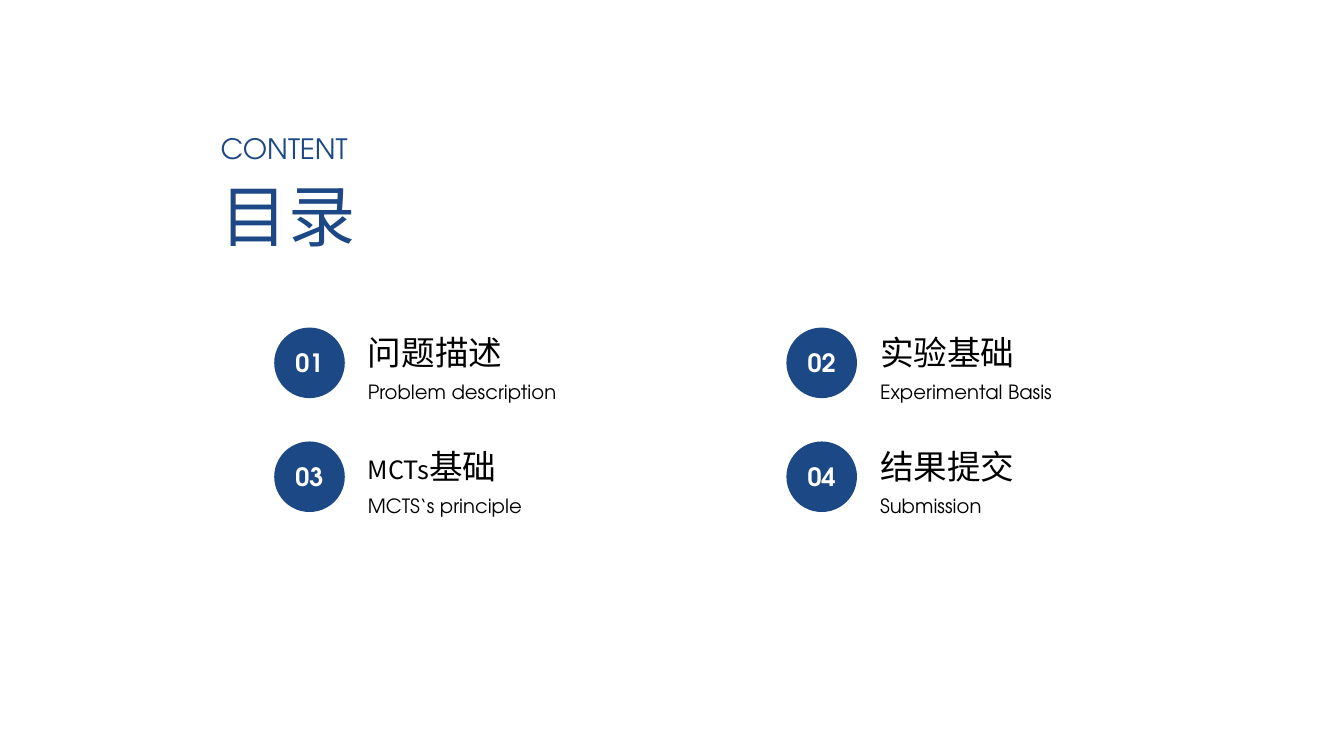
from dataclasses import dataclass

from lxml.etree import SubElement
from pptx import Presentation
from pptx.dml.color import RGBColor as Rgb
from pptx.enum.shapes import MSO_SHAPE as Kind
from pptx.enum.text import MSO_ANCHOR as Anchor, MSO_AUTO_SIZE as Fit, PP_ALIGN as Align
from pptx.oxml.ns import qn
from pptx.slide import Slide
from pptx.text.text import TextFrame
from pptx.util import Inches, Pt

COLORS = {"navy": "1C4885", "black": "000000", "white": "FFFFFF"}
HEAD = "Calibri"
BODY = "TeX Gyre Adventor"
HAN = "Noto Sans CJK SC"


@dataclass(frozen=True)
class Run:
    text: str
    size: int
    font: str = HEAD
    color: str = "black"
    bold: bool = False


@dataclass(frozen=True)
class Topic:
    name: tuple[Run, ...]
    note: str
    width: float


TOPICS = (
    Topic((Run("问题描述", 24),), "Problem description", 2.93),
    Topic((Run("实验基础", 24),), "Experimental Basis", 2.93),
    Topic((Run("MCTs", 18, HAN), Run("基础", 24)), "MCTS‘s principle", 3.69),
    Topic((Run("结果提交", 24),), "Submission", 3.69),
)


def write(frame: TextFrame, runs: tuple[Run, ...], align: Align) -> None:
    para = frame.paragraphs[0]
    para.alignment = align
    for item in runs:
        run = para.add_run()
        run.text = item.text
        font = run.font
        font.name = item.font
        font.size = Pt(item.size)
        font.bold = item.bold
        font.color.rgb = Rgb.from_string(COLORS[item.color])
        SubElement(font._element, qn("a:ea")).set("typeface", HAN)


def label(slide: Slide, left: float, top: float, width: float, height: float,
          runs: tuple[Run, ...], align: Align = Align.JUSTIFY) -> None:
    box = slide.shapes.add_textbox(
        Inches(left), Inches(top), Inches(width), Inches(height))
    frame = box.text_frame
    frame.word_wrap = True
    frame.auto_size = Fit.SHAPE_TO_FIT_TEXT
    write(frame, runs, align)


def badge(slide: Slide, left: float, top: float, text: str) -> None:
    disc = slide.shapes.add_shape(
        Kind.OVAL, Inches(left), Inches(top), Inches(0.7), Inches(0.7))
    disc.shadow.inherit = False
    disc.fill.solid()
    disc.fill.fore_color.rgb = Rgb.from_string(COLORS["navy"])
    disc.line.fill.background()
    frame = disc.text_frame
    frame.vertical_anchor = Anchor.MIDDLE
    write(frame, (Run(text, 18, BODY, "white", True),), Align.CENTER)


def head(slide: Slide) -> None:
    title = slide.shapes.title
    title.left, title.top = Inches(2.09), Inches(1.68)
    title.width, title.height = Inches(2.54), Inches(0.91)
    frame = title.text_frame
    frame.word_wrap = True
    frame.auto_size = Fit.SHAPE_TO_FIT_TEXT
    frame.vertical_anchor = Anchor.TOP
    write(frame, (Run("目录", 48, HEAD, "navy"),), Align.JUSTIFY)
    label(slide, 2.09, 1.26, 2.54, 0.44, (Run("CONTENT", 20, BODY, "navy"),))


def main() -> None:
    deck = Presentation()
    deck.slide_width, deck.slide_height = Inches(13.33), Inches(7.5)
    slide = deck.slides.add_slide(deck.slide_layouts[5])
    head(slide)
    for index, topic in enumerate(TOPICS):
        row, col = divmod(index, 2)
        left, top = 2.72 + 5.08 * col, 3.25 + 1.13 * row
        badge(slide, left, top, f"{index + 1:02}")
        label(slide, left + 0.83, top - 0.01, 4.05, 0.5, topic.name)
        label(slide, left + 0.83, top + 0.47, topic.width, 0.34,
              (Run(topic.note, 14, BODY),), Align.LEFT)
    deck.save("out.pptx")


if __name__ == "__main__":
    main()
